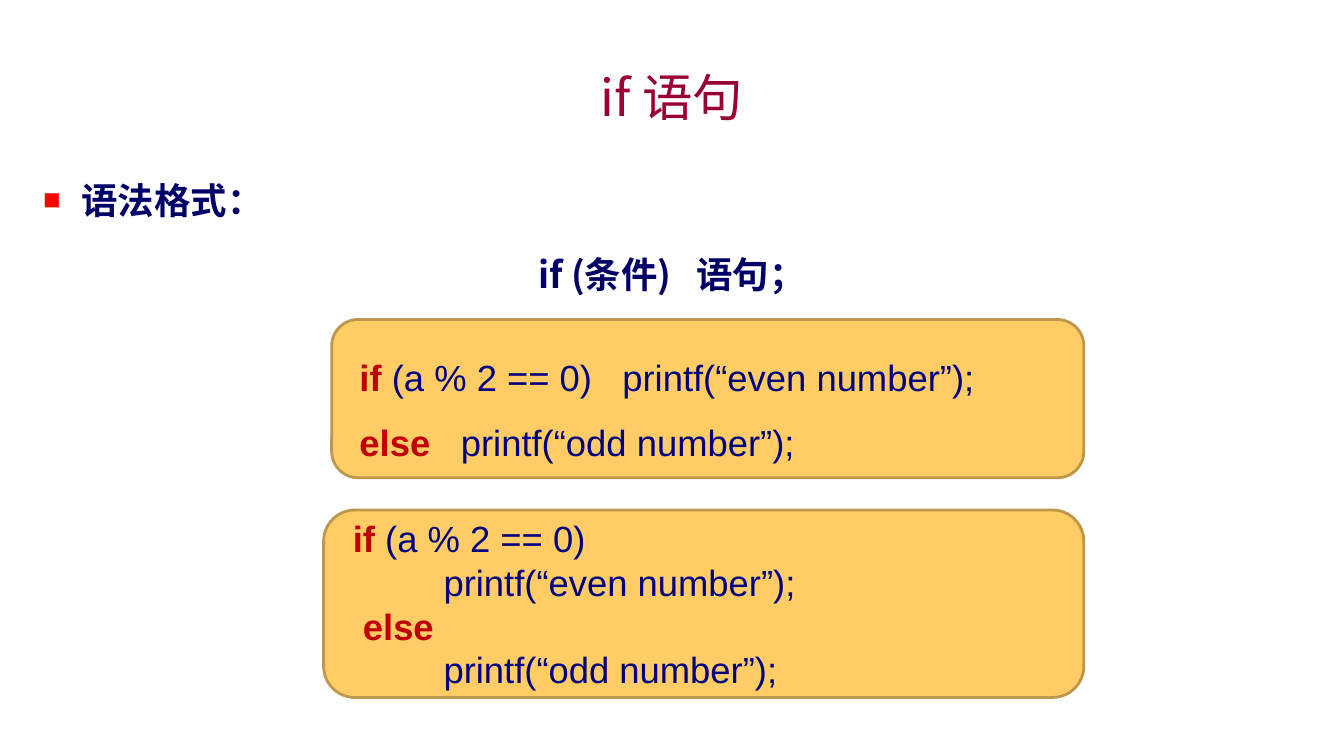
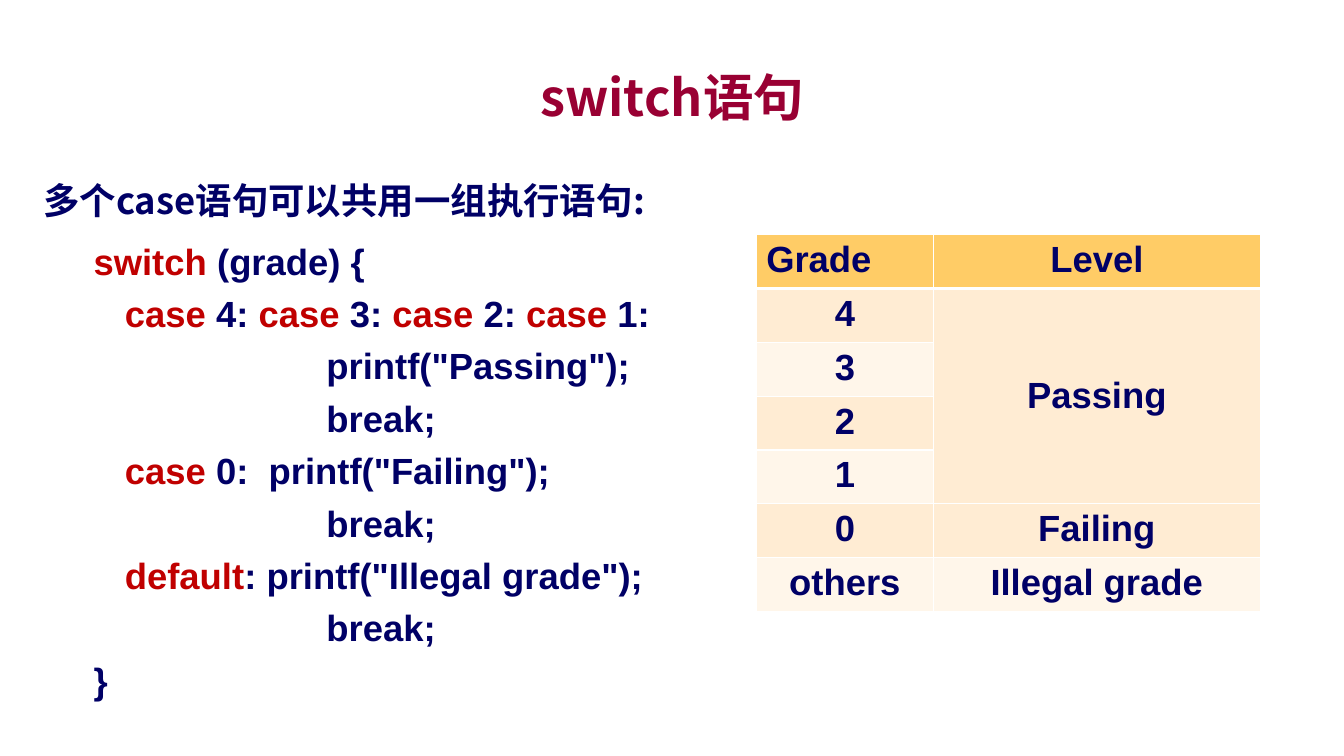
import pptx
import pptx.util
import pptx.dml.color
import pptx.enum.shapes
import pptx.enum.text
import pptx.oxml
import pptx.oxml.ns
import lxml.etree

Inches = pptx.util.Inches
Pt = pptx.util.Pt
ALIGN = pptx.enum.text.PP_ALIGN
ANCHOR = pptx.enum.text.MSO_ANCHOR
qn = pptx.oxml.ns.qn

COLORS = {
    "title": "990033", "body": "000066", "code": "000080",
    "keyword": "C00000", "bullet": "FF0000",
    "amber": "FFCC66", "outline": "BD974B",
    "band_dark": "FFECD3", "band_light": "FFF6EA", "border": "FFFFFF",
}
CJK, LATIN = "Noto Sans CJK SC", "Arial"

# Character formats shared by both slides
HEADING = {"name": CJK, "size": Pt(36), "bold": False, "color": "title"}
BODY = {"name": CJK, "size": Pt(26), "bold": True, "color": "body"}
CODE = {"name": LATIN, "size": Pt(26), "bold": False, "color": "code"}
KEYWORD = {**CODE, "bold": True, "color": "keyword"}
BOLD_CODE = {**CODE, "bold": True, "color": "body"}


def rgb(name):
    return pptx.dml.color.RGBColor.from_string(COLORS[name])


def add_run(p, text, fmt):
    r = p.add_run()
    r.text = text
    for key, value in fmt.items():
        if key == "color":
            r.font.color.rgb = rgb(value)
        else:
            setattr(r.font, key, value)
    ea = lxml.etree.SubElement(r._r.get_or_add_rPr(), qn("a:ea"))
    ea.set("typeface", fmt["name"])


def add_paragraph(tf, text, fmt, left=0, hanging=0, bullet=None, **layout):
    """Write one paragraph; text between bars is a keyword."""
    first = not tf.paragraphs[0].runs
    p = tf.paragraphs[0] if first else tf.add_paragraph()
    if first:
        layout.pop("space_before", None)
    pPr = p._p.get_or_add_pPr()
    pPr.set("marL", str(Inches(left)))
    pPr.set("indent", str(-Inches(hanging)))
    if bullet:
        add_bullet(pPr, bullet)
    for key, value in layout.items():
        setattr(p, key, value)
    for i, part in enumerate(text.split("|")):
        if part:
            add_run(p, part, KEYWORD if i % 2 else fmt)
    return p


def add_bullet(pPr, char):
    color = lxml.etree.SubElement(pPr, qn("a:buClr"))
    lxml.etree.SubElement(color, qn("a:srgbClr")).set("val", COLORS["bullet"])
    lxml.etree.SubElement(pPr, qn("a:buSzPct")).set("val", "80000")
    lxml.etree.SubElement(pPr, qn("a:buFont")).set("typeface", LATIN)
    lxml.etree.SubElement(pPr, qn("a:buChar")).set("char", char)


def add_slide(prs, title, bold=False):
    s = prs.slides.add_slide(prs.slide_layouts[5])
    sp = s.shapes.title
    sp.left, sp.top = Inches(1), Inches(0.58)
    sp.width, sp.height = Inches(11.33), Inches(0.75)
    tf = sp.text_frame
    tf.auto_size = pptx.enum.text.MSO_AUTO_SIZE.NONE
    tf.vertical_anchor = ANCHOR.MIDDLE
    add_paragraph(tf, title, {**HEADING, "bold": bold}, alignment=ALIGN.CENTER)
    return s


def add_body(s):
    sp = s.shapes.add_textbox(Inches(0.33), Inches(1.5), Inches(12.67), Inches(5.67))
    sp.text_frame.word_wrap = True
    return sp.text_frame


def add_code_box(s, left, top, width, height, lines, spacing):
    sp = s.shapes.add_shape(pptx.enum.shapes.MSO_SHAPE.ROUNDED_RECTANGLE,
                            Inches(left), Inches(top), Inches(width), Inches(height))
    sp.shadow.inherit = False
    sp.fill.solid()
    sp.fill.fore_color.rgb = rgb("amber")
    sp.line.color.rgb = rgb("outline")
    sp.line.width = Pt(2)
    sp.text_frame.vertical_anchor = ANCHOR.MIDDLE
    for line in lines:
        add_paragraph(sp.text_frame, line, CODE, alignment=ALIGN.LEFT, line_spacing=spacing)


def set_borders(cell, widths):
    tcPr = cell._tc.get_or_add_tcPr()
    for side in "LRTB":
        ln = lxml.etree.SubElement(tcPr, qn("a:ln" + side))
        ln.set("w", str(Pt(widths.get(side, 1))))
        fill = lxml.etree.SubElement(ln, qn("a:solidFill"))
        lxml.etree.SubElement(fill, qn("a:srgbClr")).set("val", COLORS["border"])


def add_grade_table(s, rows, col_widths, merged):
    row_height = Inches(0.41)
    table = s.shapes.add_table(len(rows), len(col_widths), Inches(7.5), Inches(2.33),
                               Inches(sum(col_widths)), row_height * len(rows)).table
    table.first_row = table.horz_banding = False
    for col, width in zip(table.columns, col_widths):
        col.width = Inches(width)
    for i, row in enumerate(rows):
        table.rows[i].height = row_height
        band = "amber" if i == 0 else "band_dark" if i % 2 else "band_light"
        for j, text in enumerate(row):
            cell = table.cell(i, j)
            # A thick rule separates the header from the rows below
            set_borders(cell, {0: {"B": 3}, 1: {"T": 3}}.get(i, {}))
            cell.fill.solid()
            cell.fill.fore_color.rgb = rgb(band)
            if text:
                align = ALIGN.LEFT if i == j == 0 else ALIGN.CENTER
                add_paragraph(cell.text_frame, text, BOLD_CODE, alignment=align)
    start, end = merged
    table.cell(*start).merge(table.cell(*end))
    table.cell(*start).vertical_anchor = ANCHOR.MIDDLE


def build_if_slide(prs):
    s = add_slide(prs, "if 语句")
    tf = add_body(s)
    layout = {"left": 0.38, "hanging": 0.38, "line_spacing": 1.5, "space_before": Pt(6)}
    add_paragraph(tf, "语法格式：", BODY, bullet="■", **layout)
    add_paragraph(tf, "if (条件)   语句；", BODY, alignment=ALIGN.CENTER, **layout)
    add_code_box(s, 3.29, 3.17, 7.46, 1.57, [
        " |if |(a % 2 == 0)   printf(“even number”);",
        " |else   |printf(“odd number”);",
    ], 1.5)
    add_code_box(s, 3.21, 5.06, 7.54, 1.86, [
        " |if |(a % 2 == 0)",
        "          printf(“even number”);",
        "  |else|",
        "          printf(“odd number”);",
    ], 1.0)


def build_switch_slide(prs):
    s = add_slide(prs, "switch语句", bold=True)
    tf = add_body(s)
    add_paragraph(tf, "多个case语句可以共用一组执行语句:", BODY,
                  left=0.5, hanging=0.5, line_spacing=1.5)
    # Code lines with the left indent of each nesting level
    outer, label, action = 0.5, 0.81, 2.81
    code = [
        (outer, "|switch| (grade) {"),
        (label, "|case |4: |case| 3: |case |2: |case| 1:"),
        (action, 'printf("Passing");'),
        (action, "break;"),
        (label, '|case |0:  printf("Failing");'),
        (action, "break;"),
        (label, '|default|: printf("Illegal grade");'),
        (action, "break;"),
        (outer, "}"),
    ]
    for i, (left, line) in enumerate(code):
        add_paragraph(tf, line, BOLD_CODE, left=left, line_spacing=1.2,
                      space_before=Pt(0 if i else 6))
    add_grade_table(s, [
        ("Grade", "Level"), ("4", "Passing"), ("3", ""), ("2", ""), ("1", ""),
        ("0", "Failing"), ("others", "Illegal grade"),
    ], [1.76, 3.24], merged=((1, 1), (4, 1)))


def main():
    prs = pptx.Presentation()
    prs.slide_width, prs.slide_height = Inches(13.33), Inches(7.5)
    build_if_slide(prs)
    build_switch_slide(prs)
    prs.save("out.pptx")


if __name__ == "__main__":
    main()
